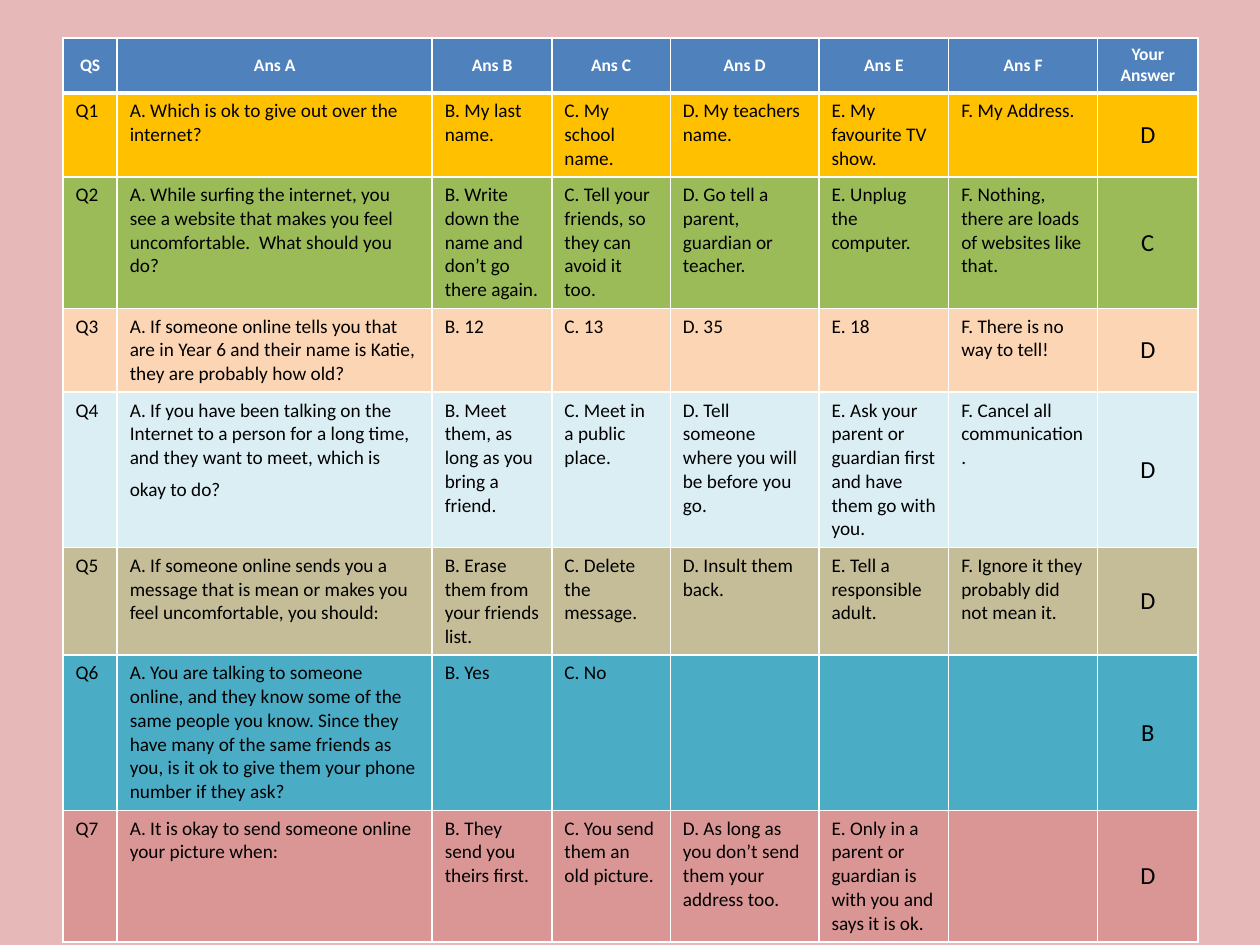
from lxml.etree import SubElement
from pptx import Presentation
from pptx.dml.color import RGBColor
from pptx.enum.text import MSO_ANCHOR, PP_ALIGN
from pptx.oxml.ns import qn
from pptx.util import Inches, Pt

FONT = "Calibri"
WHITE = RGBColor(0xFF, 0xFF, 0xFF)
BLACK = RGBColor(0, 0, 0)
PINK = RGBColor(0xE6, 0xB9, 0xB8)
BLUE = RGBColor(0x4F, 0x81, 0xBD)
AMBER = RGBColor(0xFF, 0xC0, 0x00)
GREEN = RGBColor(0x9B, 0xBB, 0x59)
PEACH = RGBColor(0xFC, 0xD5, 0xB5)
ICE = RGBColor(0xDB, 0xEE, 0xF4)
TAN = RGBColor(0xC4, 0xBD, 0x97)
TEAL = RGBColor(0x4B, 0xAC, 0xC6)
ROSE = RGBColor(0xD9, 0x96, 0x94)

# Quiz content: headings, then (row colour, options A to F, answer)
HEADINGS = ["QS", "Ans A", "Ans B", "Ans C", "Ans D", "Ans E", "Ans F", "Your Answer"]
QUESTIONS = [
    (AMBER, ["A. Which is ok to give out over the internet?", "B. My last name.",
             "C. My school name.", "D. My teachers name.",
             "E. My favourite TV show.", "F. My Address."], "D"),
    (GREEN, ["A. While surfing the internet, you see a website that makes you feel "
             "uncomfortable.  What should you do?",
             "B. Write down the name and don’t go there again.",
             "C. Tell your friends, so they can avoid it too.",
             "D. Go tell a parent, guardian or teacher.", "E. Unplug the computer.",
             "F. Nothing, there are loads of websites like that."], "C"),
    (PEACH, ["A. If someone online tells you that are in Year 6 and their name is Katie, "
             "they are probably how old?", "B. 12", "C. 13", "D. 35", "E. 18",
             "F. There is no way to tell!"], "D"),
    (ICE, ["A. If you have been talking on the Internet to a person for a long time, "
           "and they want to meet, which is okay to do? ",
           "B. Meet them, as long as you bring a friend.", "C. Meet in a public place.",
           "D. Tell someone where you will be before you go.",
           "E. Ask your parent or guardian first and have them go with you.",
           "F. Cancel all communication."], "D"),
    (TAN, ["A. If someone online sends you a message that is mean or makes you feel "
           "uncomfortable, you should:", "B. Erase them from your friends list.",
           "C. Delete the message.", "D. Insult them back.",
           "E. Tell a responsible adult.",
           "F. Ignore it they probably did not mean it."], "D"),
    (TEAL, ["A. You are talking to someone online, and they know some of the same people "
            "you know. Since they have many of the same friends as you, is it ok to give "
            "them your phone number if they ask?", "B. Yes", "C. No", "", "", ""], "B"),
    (ROSE, ["A. It is okay to send someone online your picture when:",
            "B. They send you theirs first.", "C. You send them an old picture.",
            "D. As long as you don’t send them your address too.",
            "E. Only in a parent or guardian is with you and says it is ok.", ""], "D"),
]
COLUMN_WIDTHS = [0.43, 2.5, 0.95, 0.94, 1.18, 1.03, 1.18, 0.8]
ROW_HEIGHT = 0.41  # minimum; rows grow with their text


def add_run(paragraph, text, size, color=BLACK, bold=False):
    run = paragraph.add_run()
    run.text = text
    run.font.name, run.font.size, run.font.bold = FONT, Pt(size), bold
    run.font.color.rgb = color


def set_borders(cell, bottom, top):
    """White cell borders, which must come before the fill in tcPr."""
    properties = cell._tc.get_or_add_tcPr()
    edges = [("a:lnL", 1), ("a:lnR", 1), ("a:lnT", top), ("a:lnB", bottom)]
    for position, (tag, width) in enumerate(edges):
        line = SubElement(properties, qn(tag), w=str(Pt(width)))
        fill = SubElement(line, qn("a:solidFill"))
        SubElement(fill, qn("a:srgbClr"), val=str(WHITE))
        properties.insert(position, line)


def fill_cell(cell, text, fill, size, color=BLACK, bold=False, centred=False,
              bottom=1, top=1):
    cell.fill.solid()
    cell.fill.fore_color.rgb = fill
    set_borders(cell, bottom, top)
    paragraph = cell.text_frame.paragraphs[0]
    if centred:
        cell.vertical_anchor = MSO_ANCHOR.MIDDLE
        paragraph.alignment = PP_ALIGN.CENTER
    if text:
        add_run(paragraph, text, size, color, bold)


prs = Presentation()
prs.slide_width, prs.slide_height = Inches(10), Inches(7.5)
slide = prs.slides.add_slide(prs.slide_layouts[6])
slide.background.fill.solid()
slide.background.fill.fore_color.rgb = PINK

# Quiz table
frame = slide.shapes.add_table(len(QUESTIONS) + 1, len(HEADINGS),
                               Inches(0.5), Inches(0.3), Inches(9), Inches(7))
quiz = frame.table
for column, width in zip(quiz.columns, COLUMN_WIDTHS):
    column.width = Inches(width)
for row in quiz.rows:
    row.height = Inches(ROW_HEIGHT)
frame.width, frame.height = Inches(sum(COLUMN_WIDTHS)), Inches(7)

# Heading row
for c, heading in enumerate(HEADINGS):
    fill_cell(quiz.cell(0, c), heading, BLUE, 10, WHITE, bold=True, centred=True, bottom=3)

# Question rows
for r, (color, options, answer) in enumerate(QUESTIONS, start=1):
    top = 3 if r == 1 else 1
    for c, text in enumerate([f"Q{r}", *options]):
        fill_cell(quiz.cell(r, c), text, color, 11, top=top)
    fill_cell(quiz.cell(r, len(HEADINGS) - 1), answer, color, 14, centred=True, top=top)

# The last line of question 4 is taller: it ends in a larger no-break space
add_run(quiz.cell(4, 1).text_frame.paragraphs[0], " ", 16)

prs.save("out.pptx")
